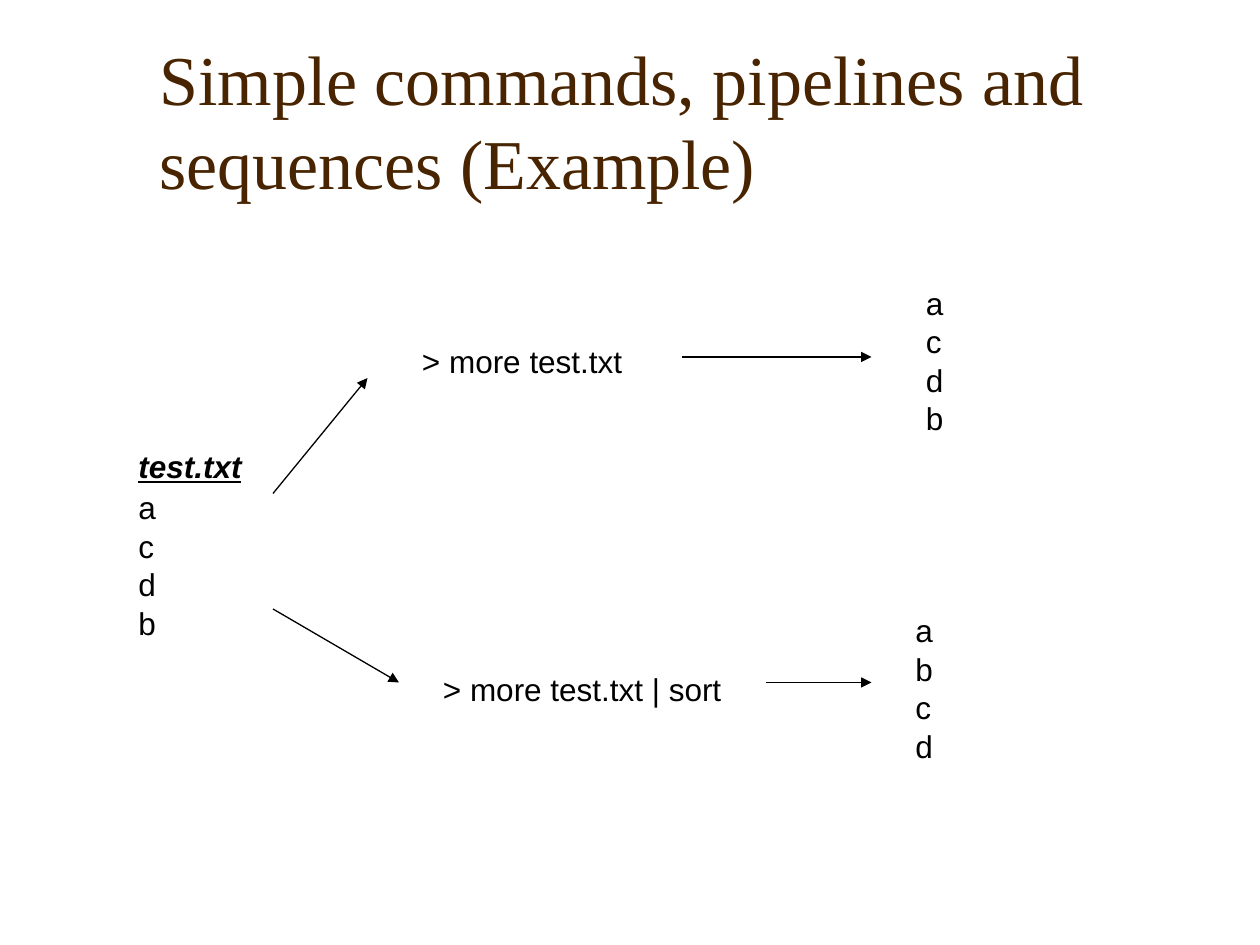
from pptx import Presentation
from pptx.dml.color import RGBColor
from pptx.enum.dml import MSO_LINE
from pptx.enum.shapes import MSO_CONNECTOR
from pptx.enum.text import MSO_ANCHOR, MSO_AUTO_SIZE, PP_ALIGN
from pptx.oxml.ns import qn
from pptx.util import Pt
from lxml import etree

BLACK = RGBColor(0x00, 0x00, 0x00)
BROWN = RGBColor(0x48, 0x24, 0x00)
STRAIGHT = MSO_CONNECTOR.STRAIGHT
SOLID = MSO_LINE.SOLID
BOTTOM = MSO_ANCHOR.BOTTOM
LEFT = PP_ALIGN.LEFT
FIT_SHAPE = MSO_AUTO_SIZE.SHAPE_TO_FIT_TEXT


def add_text_frame(s, box, wrap=True):
    tf = s.shapes.add_textbox(*map(Pt, box)).text_frame
    tf.word_wrap = wrap
    return tf


def add_run(p, text, size=18, font="Arial", color=BLACK):
    p.alignment = LEFT
    r = p.add_run()
    r.text = text
    r.font.size = Pt(size)
    r.font.name = font
    r.font.color.rgb = color
    return r


def add_title(s, box, text):
    tf = add_text_frame(s, box)
    tf.vertical_anchor = BOTTOM
    add_run(tf.paragraphs[0], text, 40, "Times New Roman", BROWN)


def add_lines(s, box, lines, heading=None):
    tf = add_text_frame(s, box)
    tf.auto_size = FIT_SHAPE
    texts = [heading, *lines] if heading else lines
    for i, text in enumerate(texts):
        p = tf.paragraphs[0] if i == 0 else tf.add_paragraph()
        p.space_before = Pt(11.2)
        r = add_run(p, text)
        if heading and i == 0:
            r.font.bold = r.font.italic = r.font.underline = True
        else:
            p.line_spacing = 0.5


def add_command(s, box, text):
    tf = add_text_frame(s, box, wrap=False)
    tf.auto_size = FIT_SHAPE
    add_run(tf.paragraphs[0], text)


def add_arrow(s, start, end):
    c = s.shapes.add_connector(STRAIGHT, *map(Pt, start + end))
    c.line.color.rgb = BLACK
    c.line.width = Pt(0.75)
    c.line.dash_style = SOLID
    sp_pr = c._element.spPr
    etree.SubElement(sp_pr.find(qn("a:ln")), qn("a:tailEnd"), type="triangle")
    etree.SubElement(sp_pr, qn("a:effectLst"))


def main():
    prs = Presentation()
    prs.slide_width, prs.slide_height = Pt(720), Pt(540)
    s = prs.slides.add_slide(prs.slide_layouts[6])

    add_title(s, (84, 30, 612, 90),
              "Simple commands, pipelines and sequences (Example)")
    add_lines(s, (72, 252, 90, 117), "acdb", heading="test.txt")
    add_lines(s, (516, 355, 90, 84), "abcd")
    add_lines(s, (522, 168, 90, 84), "acdb")
    add_command(s, (234, 192, 129, 29), "> more test.txt")
    add_command(s, (246, 379.5, 173.5, 29), "> more test.txt | sort")

    for start, end in (
        ((156, 282), (210, 216)),
        ((156, 348), (228, 390)),
        ((390, 204), (498, 204)),
        ((438, 390), (498, 390)),
    ):
        add_arrow(s, start, end)

    prs.save("out.pptx")


if __name__ == "__main__":
    main()
